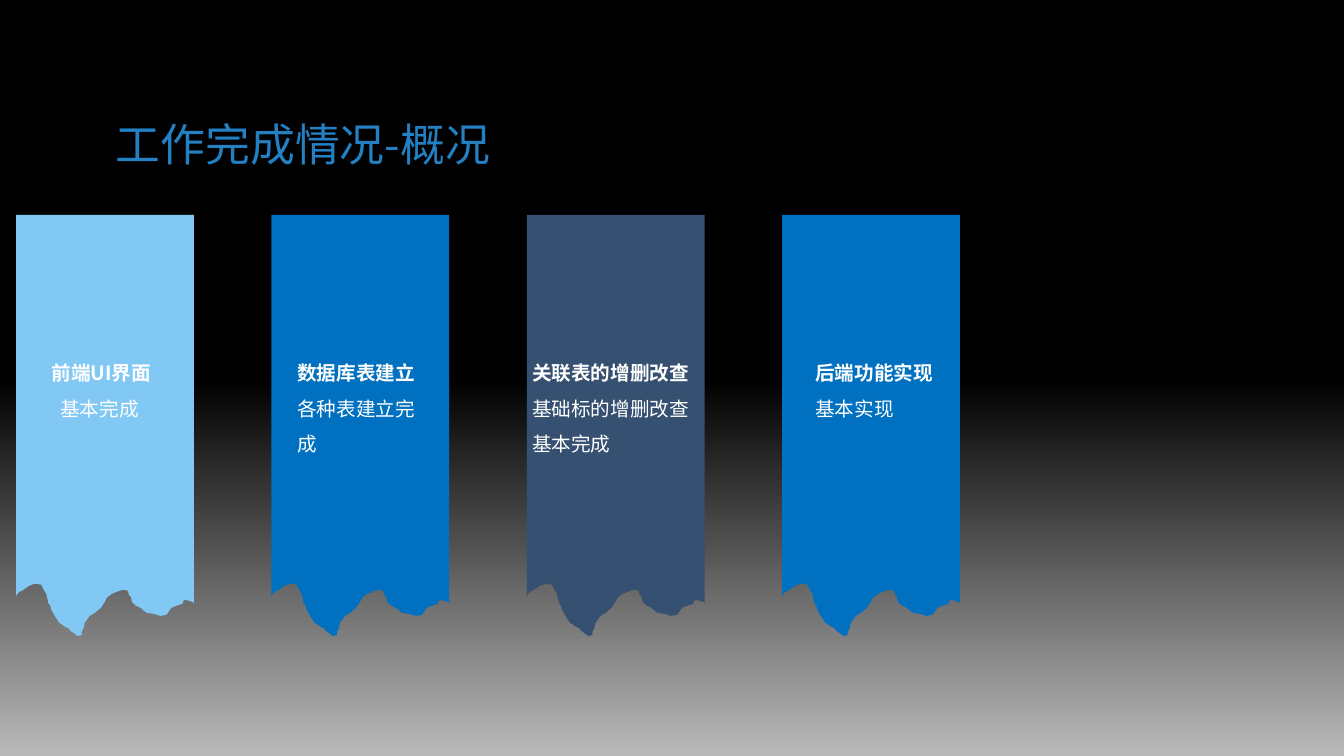
from lxml import etree
from pptx import Presentation
from pptx.dml.color import RGBColor
from pptx.enum.text import MSO_ANCHOR, MSO_AUTO_SIZE
from pptx.oxml.ns import qn
from pptx.util import Pt

TOP = MSO_ANCHOR.TOP
GROW = MSO_AUTO_SIZE.SHAPE_TO_FIT_TEXT
FIXED = MSO_AUTO_SIZE.NONE

THEME = {
    "font": "Noto Sans CJK SC",
    "title_size": 32,
    "body_size": 14,
    "title": "2280C3",
    "text": "FFFFFF",
    "sky": "82C8F5",
    "blue": "0070C0",
    "navy": "355071",
    "background": [(0.5, "000000"), (1.0, "B9B9B9")],
}

TITLE = "工作完成情况-概况"
TITLE_BOX = (75.6, 83.5, 426.2, 118.8)

RIBBONS = [
    {"color": "sky", "left": 26.6, "width": 105.8, "height": 58.3,
     "lines": ["前端UI界面", "基本完成"], "indents": [3.1, 9.4]},
    {"color": "blue", "left": 205.2, "width": 105.8, "height": 83.5,
     "lines": ["数据库表建立", "各种表建立完成"], "indents": [0, 0]},
    {"color": "navy", "left": 363.6, "width": 154.1, "height": 83.5,
     "lines": ["关联表的增删改查", "基础标的增删改查", "基本完成"],
     "indents": [9.4, 9.4, 9.4]},
    {"color": "blue", "left": 575.3, "width": 105.8, "height": 55.4,
     "lines": ["后端功能实现", "基本实现"], "indents": [0, 0]},
]

RIBBON_LEFT, RIBBON_TOP, RIBBON_WIDTH = 11.5, 153.4, 127
RIBBON_PITCH = 182.4
TEAR_TOP = RIBBON_TOP + 263.5
CAPTION_TOP = 246.2

TEAR = [
    (127, 13.7), (126, 13), (121, 11.5), (119.5, 12.2), (118.8, 14.4),
    (116.6, 15.1), (114.5, 15.8), (110.9, 17.3), (107.3, 22.3), (103, 23),
    (98.6, 21.6), (93.6, 20.9), (91.4, 19.4), (90, 18), (87.8, 16.6),
    (85.7, 15.8), (82.8, 13), (82.1, 9.4), (80.6, 7.9), (79.9, 5),
    (76.3, 4.3), (74.2, 5), (68.4, 7.2), (64.8, 10.1), (63.4, 13),
    (60.5, 17.3), (56.2, 20.9), (52.6, 23), (49, 28.1), (48.2, 31.7),
    (46.8, 34.6), (46.8, 36.7), (43.9, 37.4), (40.3, 34.6), (38.9, 33.8),
    (37.4, 31.7), (35.3, 31), (32.4, 28.8), (31, 28.1), (28.1, 23.8),
    (25.2, 18.7), (24.5, 15.8), (23, 13.7), (21.6, 7.2), (20.2, 5),
    (18, 0.7), (13.7, 0), (11.5, 0.7), (9.4, 1.4), (4.3, 5),
    (2.2, 5.8), (0, 8.6), (0, 10.1),
]


def rgb(value):
    return RGBColor.from_string(value)


def add_text(slide, lines, box, *, size, color, bold_first=False,
             spacing=None, indents=None, margin_top=3.6, fit=GROW):
    frame = slide.shapes.add_textbox(*map(Pt, box)).text_frame
    frame.word_wrap = True
    frame.auto_size = fit
    frame.vertical_anchor = TOP
    frame.margin_top = Pt(margin_top)
    for index, line in enumerate(lines):
        paragraph = frame.paragraphs[0] if index == 0 else frame.add_paragraph()
        if indents and indents[index]:
            paragraph._p.get_or_add_pPr().set("marL", str(Pt(indents[index])))
        if spacing:
            paragraph.line_spacing = spacing
        run = paragraph.add_run()
        run.text = line
        run.font.size = Pt(size)
        run.font.bold = bold_first and index == 0
        run.font.color.rgb = rgb(color)
        run.font.name = THEME["font"]
        east_asian = etree.SubElement(run._r.get_or_add_rPr(), qn("a:ea"))
        east_asian.set("typeface", THEME["font"])


def add_ribbon(slide, left, color):
    right = left + RIBBON_WIDTH
    outline = [(right, RIBBON_TOP)]
    outline += [(left + x, TEAR_TOP + y) for x, y in TEAR]
    builder = slide.shapes.build_freeform(Pt(left), Pt(RIBBON_TOP))
    builder.add_line_segments([(Pt(x), Pt(y)) for x, y in outline], close=True)
    ribbon = builder.convert_to_shape()
    ribbon.shadow.inherit = False
    ribbon.fill.solid()
    ribbon.fill.fore_color.rgb = rgb(color)
    ribbon.line.fill.background()


def paint_background(slide):
    fill = slide.background.fill
    fill.gradient()
    fill.gradient_angle = 270
    for stop, (position, color) in zip(fill.gradient_stops, THEME["background"]):
        stop.position = position
        stop.color.rgb = rgb(color)


def main():
    deck = Presentation()
    deck.slide_width, deck.slide_height = Pt(960), Pt(540)
    slide = deck.slides.add_slide(deck.slide_layouts[6])
    paint_background(slide)
    add_text(slide, [TITLE], TITLE_BOX, size=THEME["title_size"],
             color=THEME["title"], margin_top=0, fit=FIXED)
    for index, ribbon in enumerate(RIBBONS):
        add_ribbon(slide, RIBBON_LEFT + index * RIBBON_PITCH, THEME[ribbon["color"]])
    for ribbon in RIBBONS:
        box = (ribbon["left"], CAPTION_TOP, ribbon["width"], ribbon["height"])
        add_text(slide, ribbon["lines"], box, size=THEME["body_size"],
                 color=THEME["text"], bold_first=True, spacing=1.5,
                 indents=ribbon["indents"])
    deck.save("out.pptx")


if __name__ == "__main__":
    main()
